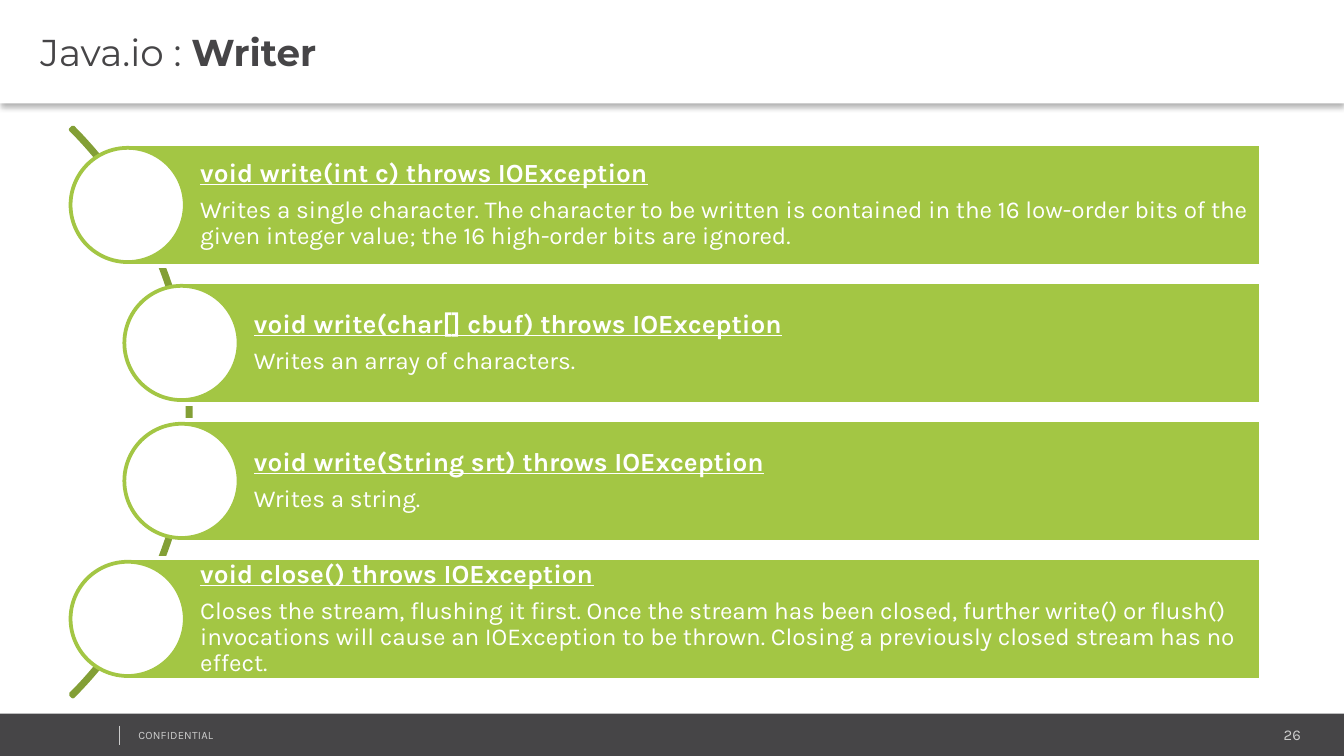
from lxml.etree import SubElement
from pptx import Presentation
from pptx.dml.color import RGBColor
from pptx.enum.shapes import MSO_CONNECTOR, MSO_SHAPE
from pptx.enum.text import MSO_ANCHOR, MSO_AUTO_SIZE, PP_ALIGN
from pptx.oxml.ns import qn
from pptx.util import Inches, Pt

HEADING = [("Java.io : ", False), ("Writer", True)]
METHODS = [
    ("void write(int c) throws IOException",
     "Writes a single character. The character to be written is contained in the 16 "
     "low-order bits of the given integer value; the 16 high-order bits are ignored."),
    ("void write(char[] cbuf) throws IOException", "Writes an array of characters."),
    ("void write(String srt) throws IOException", "Writes a string."),
    ("void close() throws IOException",
     "Closes the stream, flushing it first. Once the stream has been closed, further "
     "write() or flush() invocations will cause an IOException to be thrown. Closing a "
     "previously closed stream has no effect."),
]
COLORS = {"white": "FFFFFF", "dark": "464547", "pale": "CCCCCC",
          "green": "A3C644", "olive": "839F36"}
WIDTH = 10
HEIGHT = WIDTH * 9 / 16
HEADER_HEIGHT, FOOTER_TOP = 0.77, 5.31
BAR_LEFTS, BAR_RIGHT = [0.95, 1.35, 1.35, 0.95], 9.38
BAR_TOP, BAR_BOTTOM, BAR_HEIGHT = 1.07, 5.06, 0.91
BAR_STEP = (BAR_BOTTOM - BAR_TOP - BAR_HEIGHT) / (len(METHODS) - 1)
CIRCLE, ARC = 0.85, 5.99


def rgb(name):
    return RGBColor.from_string(COLORS[name])


def set_margins(frame, left, top, right, bottom):
    frame.margin_left, frame.margin_top = Inches(left), Inches(top)
    frame.margin_right, frame.margin_bottom = Inches(right), Inches(bottom)


def set_font(font, face, size, color):
    font.name, font.size, font.color.rgb = face, Pt(size), rgb(color)


def add_figure(kind, box, fill=None, line=None):
    figure = slide.shapes.add_shape(kind, *map(Inches, box))
    figure.shadow.inherit = False
    if fill:
        figure.fill.solid()
        figure.fill.fore_color.rgb = rgb(fill)
    else:
        figure.fill.background()
    if line:
        figure.line.color.rgb = rgb(line)
        figure.line.width = Pt(2)
    else:
        figure.line.fill.background()
    return figure


def add_label(text, box, size, align):
    frame = slide.shapes.add_textbox(*map(Inches, box)).text_frame
    frame.word_wrap = True
    set_margins(frame, 0.07, 0.04, 0.07, 0.04)
    paragraph = frame.paragraphs[0]
    paragraph.text, paragraph.alignment = text, align
    set_font(paragraph.font, "Karla", size, "pale")
    return paragraph


def add_heading():
    header = slide.shapes.title
    header.left, header.top = 0, 0
    header.width, header.height = Inches(WIDTH), Inches(HEADER_HEIGHT)
    header.fill.solid()
    header.fill.fore_color.rgb = rgb("white")
    effects = SubElement(header.element.spPr, qn("a:effectLst"))
    shadow = SubElement(effects, qn("a:outerShdw"), blurRad=str(Pt(3.1)), dist=str(Pt(2)),
                        dir="5400000", algn="t", rotWithShape="0")
    tint = SubElement(shadow, qn("a:srgbClr"), val="000000")
    SubElement(tint, qn("a:alpha"), val="30000")
    frame = header.text_frame
    frame.auto_size = MSO_AUTO_SIZE.NONE
    frame.vertical_anchor = MSO_ANCHOR.MIDDLE
    set_margins(frame, 0.3, 0.04, 0.07, 0.04)
    paragraph = frame.paragraphs[0]
    paragraph.alignment = PP_ALIGN.LEFT
    paragraph.line_spacing = 1.0
    paragraph.space_before = Pt(4)
    set_font(paragraph.font, "Montserrat", 20, "dark")
    for text, bold in HEADING:
        run = paragraph.add_run()
        run.text, run.font.bold = text, bold


def add_footer():
    add_figure(MSO_SHAPE.RECTANGLE, (0, FOOTER_TOP, WIDTH, HEIGHT - FOOTER_TOP), "dark")
    add_label("26", (8.12, 5.36, 1.63, 0.21), 8, PP_ALIGN.RIGHT)
    notice = add_label("CONFIDENTIAL", (0.96, 5.38, 2.53, 0.18), 6, PP_ALIGN.LEFT)
    notice.runs[0].font._element.set("spc", "10")
    divider = slide.shapes.add_connector(
        MSO_CONNECTOR.STRAIGHT, *map(Inches, (0.89, 5.4, 0.89, 5.54)))
    divider.line.color.rgb = rgb("pale")
    divider.line.width = Pt(0.25)
    SubElement(divider.element.spPr, qn("a:effectLst"))


def add_method(row, left, signature, description):
    top = BAR_TOP + row * BAR_STEP
    bar = add_figure(MSO_SHAPE.RECTANGLE, (left, top, BAR_RIGHT - left, BAR_HEIGHT),
                     "green", "white")
    frame = bar.text_frame
    frame.word_wrap = True
    frame.vertical_anchor = MSO_ANCHOR.MIDDLE
    set_margins(frame, 0.54, 0.04, 0.04, 0.04)
    for text, size, strong in [(signature, 14, True), (description, 13, False)]:
        paragraph = frame.paragraphs[0] if strong else frame.add_paragraph()
        paragraph.text, paragraph.alignment = text, PP_ALIGN.LEFT
        paragraph.line_spacing, paragraph.space_after = 0.9, Pt(5)
        set_font(paragraph.font, "Karla", size, "white")
        paragraph.font.bold = paragraph.font.underline = strong
    add_figure(MSO_SHAPE.OVAL, (left - CIRCLE / 2, top + (BAR_HEIGHT - CIRCLE) / 2,
                                CIRCLE, CIRCLE), "white", "green")


deck = Presentation()
deck.slide_width, deck.slide_height = Inches(WIDTH), Inches(HEIGHT)
slide = deck.slides.add_slide(deck.slide_layouts[5])
add_footer()
add_heading()
arc = add_figure(MSO_SHAPE.BLOCK_ARC, (-4.57, 0.07, ARC, ARC), line="olive")
for index, value in enumerate((189, 27, 0.004)):
    arc.adjustments[index] = value
for row, (left, method) in enumerate(zip(BAR_LEFTS, METHODS)):
    add_method(row, left, *method)
deck.save("out.pptx")
